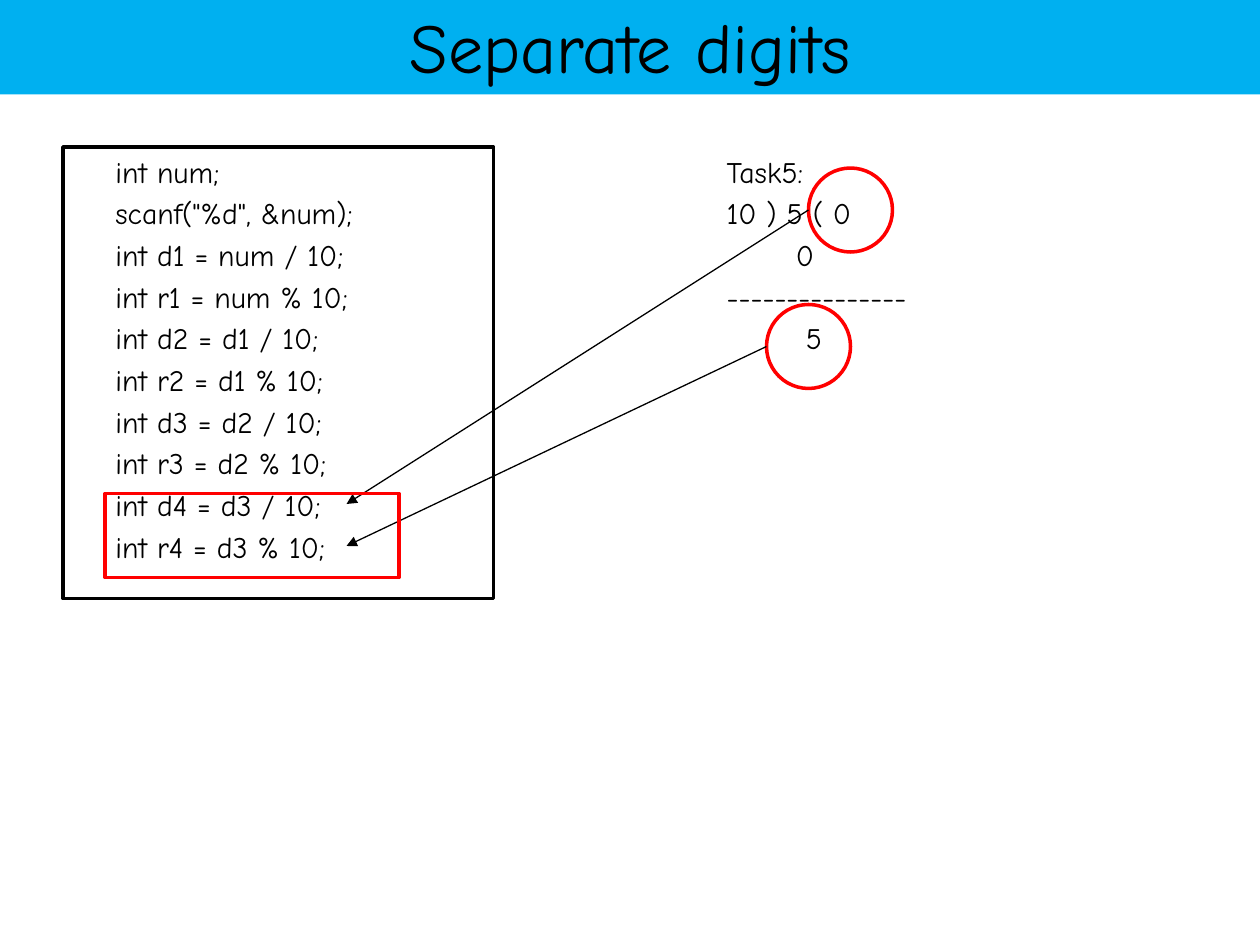
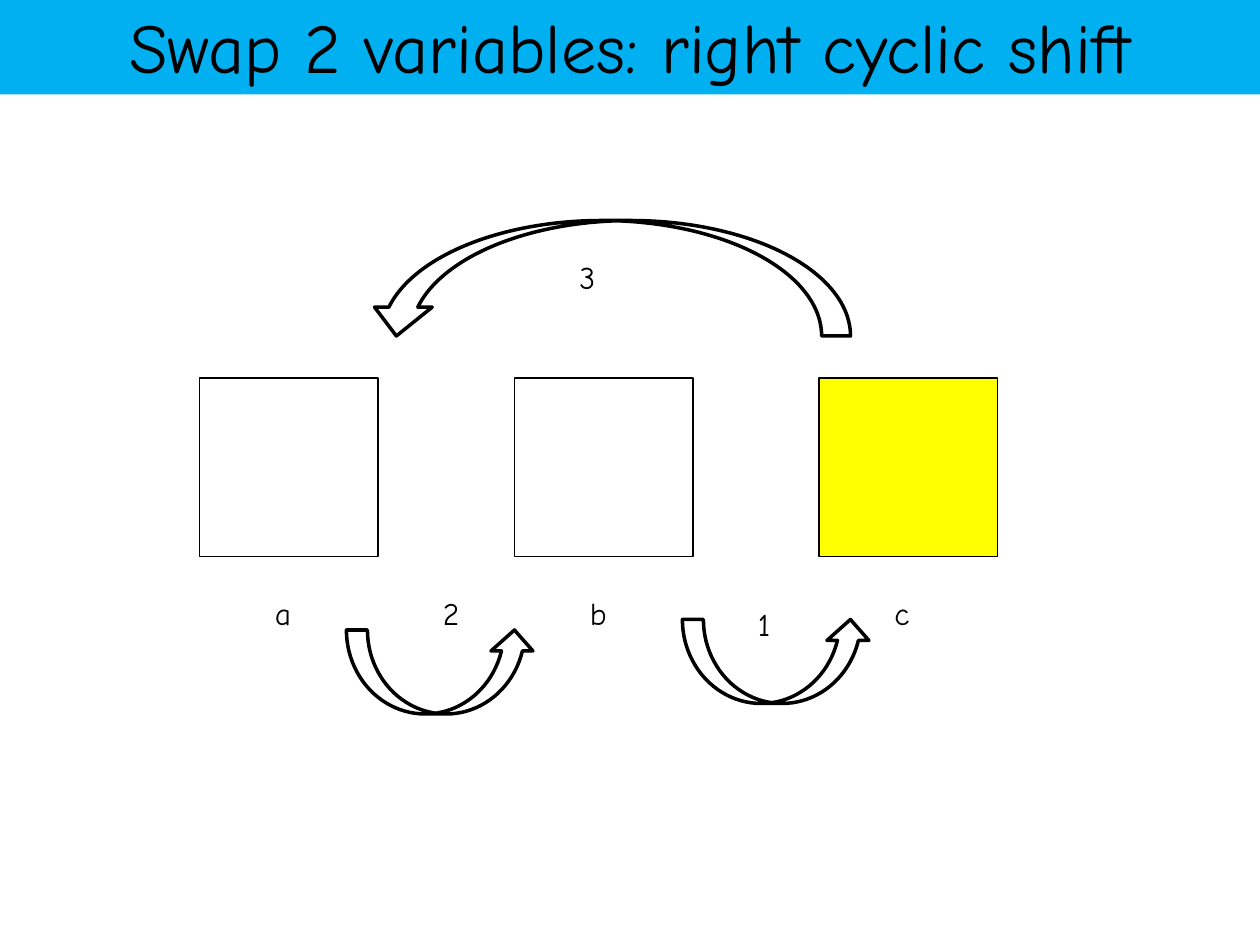
from pptx import Presentation, util as u
from pptx.dml.color import RGBColor
from pptx.enum import shapes, text
from pptx.oxml.ns import qn
from lxml import etree

HUES = {"band": "00B0F0", "ink": "000000", "mark": "FF0000",
        "paper": "FFFFFF", "last": "FFFF00"}
FONT = "Comic Neue"
KIND = shapes.MSO_SHAPE

deck = Presentation()
deck.slide_width, deck.slide_height = u.Inches(10), u.Inches(7.5)
CELL = deck.slide_width // 120  # the slide is a grid of 120 columns by 90 rows


def write(shape, lines, size=18, pads=None):
    """Fill a shape with unbulleted lines; pads maps line number to left indent in inches."""
    frame = shape.text_frame
    frame.word_wrap = True
    frame.auto_size = text.MSO_AUTO_SIZE.NONE
    for i, line in enumerate(lines):
        para = frame.add_paragraph() if i else frame.paragraphs[0]
        para.text = line
        props = para._p.get_or_add_pPr()
        props.set("marL", str(u.Inches((pads or {}).get(i, 0))))
        props.set("indent", "0")
        etree.SubElement(props, qn("a:buNone"))
        if i == 0:
            para.space_before = u.Pt(0)
        para.font.size, para.font.name = u.Pt(size), FONT
        para.font.color.rgb = RGBColor.from_string(HUES["ink"])


def style(shape, cells=None, fill=None, line=None, width=2):
    """Place a shape on the grid and set its fill and outline."""
    if cells:
        shape.left, shape.top, shape.width, shape.height = (round(c * CELL) for c in cells)
    if fill:
        shape.fill.solid()
        shape.fill.fore_color.rgb = RGBColor.from_string(HUES[fill])
    else:
        shape.fill.background()
    if line:
        shape.line.color.rgb = RGBColor.from_string(HUES[line])
        shape.line.width = u.Pt(width)
    else:
        shape.line.fill.background()


# Both slides: a title band across the top
pages = []
for title, layout in (("Separate digits", 3), ("Swap 2 variables: right cyclic shift", 5)):
    page = deck.slides.add_slide(deck.slide_layouts[layout])
    style(page.shapes.title, (0, -0.3, 120, 9.3), fill="band")
    write(page.shapes.title, [title], size=40)
    page.shapes.title.text_frame.vertical_anchor = text.MSO_ANCHOR.MIDDLE
    page.shapes.title.text_frame.paragraphs[0].alignment = text.PP_ALIGN.CENTER
    pages.append(page)
digits, swap = pages

# Slide 1: the code beside the division
code = ["int num;", 'scanf("%d", &num);', "int d1 = num / 10;", "int r1 = num % 10;"]
for n in (2, 3, 4):
    code += [f"int d{n} = d{n - 1} / 10;", f"int r{n} = d{n - 1} % 10;"]
left, right = digits.placeholders[1], digits.placeholders[2]
style(left, (6, 14, 41, 43), fill="paper", line="ink")
write(left, ["    " + line for line in code], size=17)
style(right, (68, 14, 41, 64), fill="paper")
write(right, ["Task5:", "10 ) 5 ( 0", "0", "-" * 15, "5"], size=17, pads={2: 0.55, 4: 0.63})

# Each circled result points to the code line that yields it
for col, row, goal in ((77, 16, 48), (73, 29, 52)):
    ring = digits.shapes.add_shape(KIND.OVAL, 0, 0, 0, 0)
    ring.shadow.inherit = False
    style(ring, (col, row, 8, 8), line="mark")
    arrow = digits.shapes.add_connector(shapes.MSO_CONNECTOR.STRAIGHT, col * CELL,
                                        (row + 4) * CELL, 33 * CELL, goal * CELL)
    arrow.line.color.rgb = RGBColor.from_string(HUES["ink"])
    arrow.line.width = u.Pt(0.75)
    etree.SubElement(arrow.line._get_or_add_ln(), qn("a:tailEnd"), type="triangle")
    etree.SubElement(arrow._element.spPr, qn("a:effectLst"))
frame = digits.shapes.add_shape(KIND.RECTANGLE, 0, 0, 0, 0)
frame.shadow.inherit = False
style(frame, (10, 47, 28, 8), line="mark")

# Slide 2: three variables, and the order of the moves
for col, fill in ((19, None), (49, None), (78, "last")):
    box = swap.shapes.add_shape(KIND.RECTANGLE, 0, 0, 0, 0)
    box.shadow.inherit = False
    style(box, (col, 36, 17, 17), fill=fill, line="ink", width=1)
for cells, turn in (((65, 59, 18, 8), 0), ((33, 60, 18, 8), 0), ((35, 21, 46, 11), 180)):
    move = swap.shapes.add_shape(KIND.CURVED_UP_ARROW, 0, 0, 0, 0)
    move.shadow.inherit = False
    style(move, cells, line="ink")
    move.rotation = turn
for word, col, row in (("a", 25, 56), ("b", 55, 56), ("c", 84, 56),
                       ("1", 71, 57), ("2", 41, 56), ("3", 54, 24)):
    label = swap.shapes.add_textbox(col * CELL, row * CELL, 6 * CELL, 5 * CELL)
    write(label, [word])

deck.save("out.pptx")
